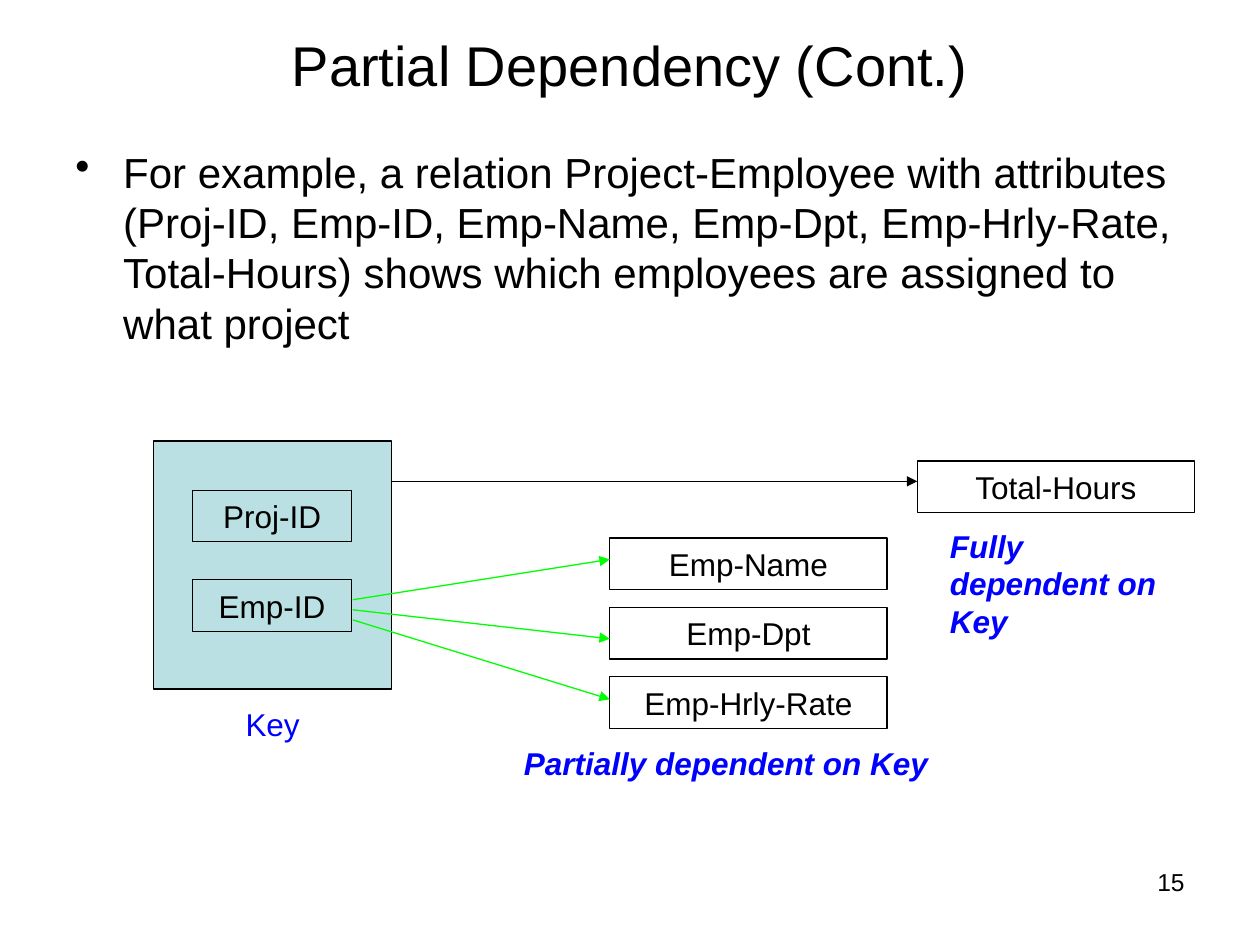
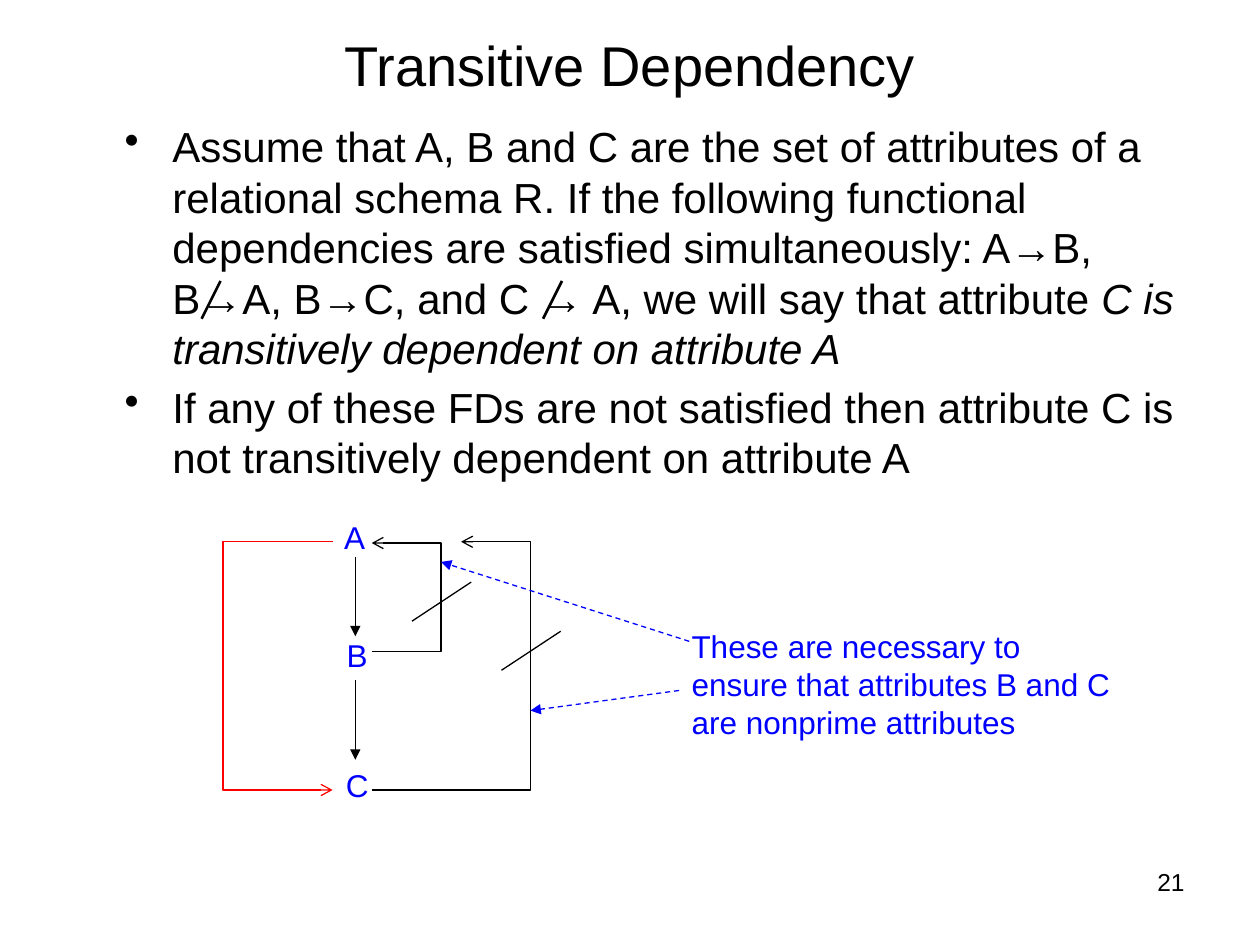
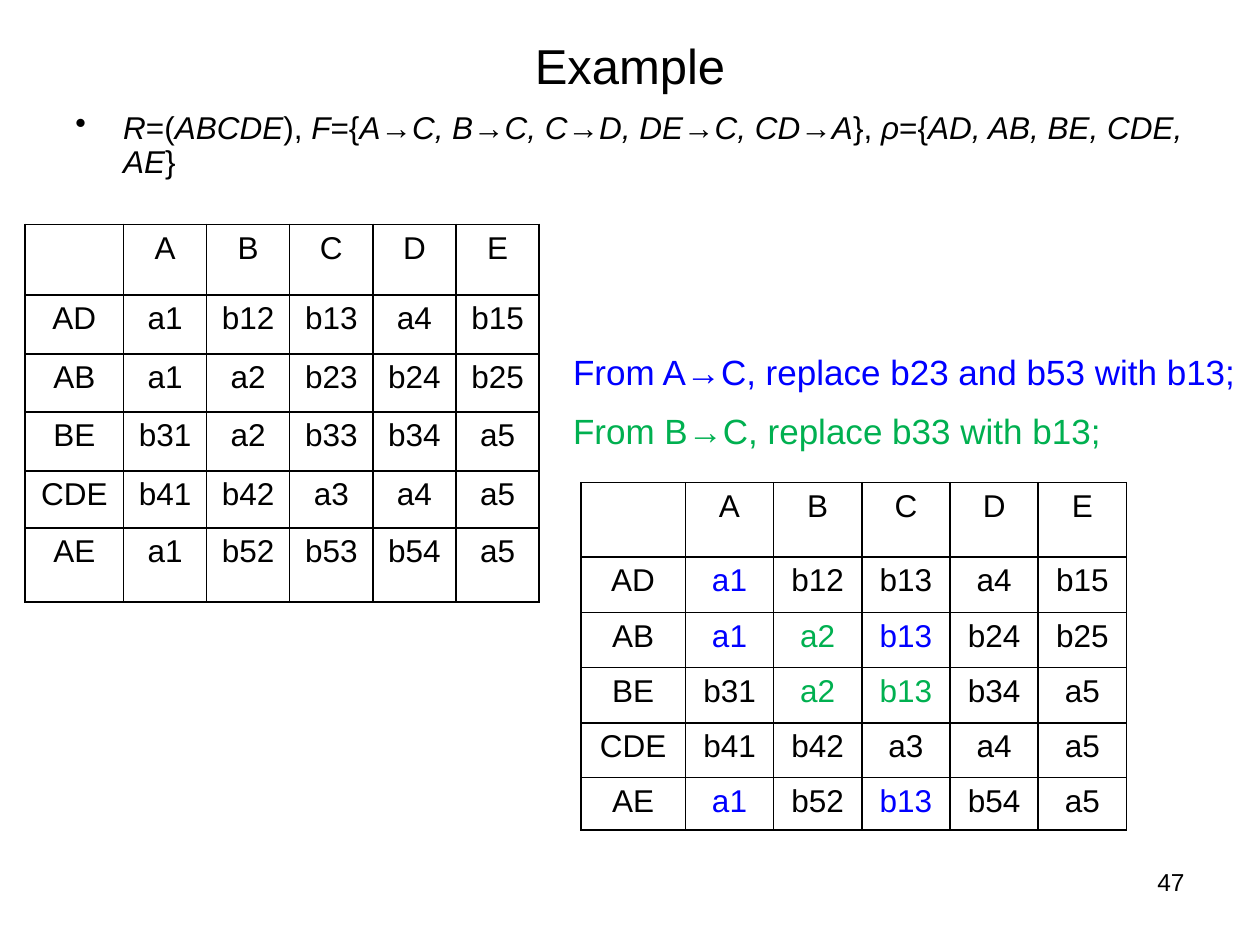
import pptx
import pptx.dml.color
import pptx.enum.dml
import pptx.enum.shapes
import pptx.enum.text
import pptx.oxml
import pptx.oxml.ns
import pptx.util

Inches, Pt = pptx.util.Inches, pptx.util.Pt
ALIGN = pptx.enum.text.PP_ALIGN
ANCHOR = pptx.enum.text.MSO_ANCHOR
SHAPE = pptx.enum.shapes.MSO_SHAPE
STRAIGHT = pptx.enum.shapes.MSO_CONNECTOR.STRAIGHT
qn = pptx.oxml.ns.qn

FONT = "Arial"
COLORS = {"black": "000000", "blue": "0000FF", "green": "00B050",
          "lime": "00FF00", "red": "FF0000", "key": "BBE0E3"}
EMPHASIS = {"bold": True, "italic": True}

# ---- Slide content -------------------------------------------------------
PARTIAL_TEXT = [[("For example, a relation Project-Employee with attributes "
                  "(Proj-ID, Emp-ID, Emp-Name, Emp-Dpt, Emp-Hrly-Rate, "
                  "Total-Hours) shows which employees are assigned to what project", {})]]
KEY_ATTRIBUTES = ["Proj-ID", "Emp-ID"]
PARTIAL_ATTRIBUTES = ["Emp-Name", "Emp-Dpt", "Emp-Hrly-Rate"]
PARTIAL_ARROW_ENDS = [4.44, 5.07, 5.55]
PARTIAL_LABELS = [
    ("Key", (1.85, 5.55, 0.79, 0.4), {}),
    ("Partially dependent on Key", (4.06, 5.86, 4.57, 0.4), EMPHASIS),
    ("Fully dependent on Key", (7.44, 4.13, 2.05, 1), EMPHASIS),
]

TRANSITIVE_TEXT = [
    [("Assume that A, B and C are the set of attributes of a relational schema R. "
      "If the following functional dependencies are satisfied simultaneously: "
      "A→B, B→A, B→C, and C → A, we will say that attribute ", {}),
     ("C is transitively dependent on attribute A", {"italic": True})],
    [("If any of these FDs are not satisfied then attribute C is not "
      "transitively dependent on attribute A", {})],
]
NODES = [("A", 2.54, 4.06), ("B", 2.56, 5), ("C", 2.56, 6.03)]
DEPENDENCY_PATHS = [
    ("red", [(2.64, 4.3), (1.77, 4.3), (1.77, 6.27), (2.64, 6.27)]),
    ("black", [(2.95, 5.17), (3.5, 5.17), (3.5, 4.31), (2.95, 4.31)]),
    ("black", [(2.95, 6.27), (4.21, 6.27), (4.21, 4.3), (3.66, 4.3)]),
]
DOWN_ARROWS = [4.42, 5.4]
PATH_SLASHES = [(3.27, 4.93), (3.98, 5.32)]
TEXT_SLASHES = [(1.6, 2.53), (4.31, 2.53)]
NOTE = "These are necessary to ensure that attributes B and C are nonprime attributes"
NOTE_ARROWS = [((5.47, 5.09), (3.5, 4.46)), ((5.39, 5.48), (4.21, 5.64))]

# Italic and upright parts alternate, italic first
RELATION_PARTS = ["R", "=(", "ABCDE", "), ", "F", "={",
                  "A→C, B→C, C→D, DE→C, CD→A", "}, ", "ρ", "={",
                  "AD, AB, BE, CDE, AE", "}"]
STEPS = [("From A→C, replace b23 and b53 with b13;", "blue"),
         ("From B→C, replace b33 with b13;", "green")]
BEFORE = [
    ["", "A", "B", "C", "D", "E"],
    ["AD", "a1", "b12", "b13", "a4", "b15"],
    ["AB", "a1", "a2", "b23", "b24", "b25"],
    ["BE", "b31", "a2", "b33", "b34", "a5"],
    ["CDE", "b41", "b42", "a3", "a4", "a5"],
    ["AE", "a1", "b52", "b53", "b54", "a5"],
]
REPLACED = {(2, 3): "b13", (3, 3): "b13", (5, 3): "b13"}
AFTER = [[REPLACED.get((i, j), value) for j, value in enumerate(row)]
         for i, row in enumerate(BEFORE)]
HIGHLIGHTS = {(1, 1): "blue", (2, 1): "blue", (5, 1): "blue",
              (2, 3): "blue", (5, 3): "blue",
              (2, 2): "green", (3, 2): "green", (3, 3): "green"}


# ---- Text helpers --------------------------------------------------------
def rgb(name):
    return pptx.dml.color.RGBColor.from_string(COLORS[name])


def add_run(p, text, size, color="black", bold=False, italic=False):
    r = p.add_run()
    r.text = text
    r.font.name, r.font.size = FONT, Pt(size)
    r.font.bold, r.font.italic = bold, italic
    r.font.color.rgb = rgb(color)


def add_text(slide, box):
    tf = slide.shapes.add_textbox(*map(Inches, box)).text_frame
    tf.word_wrap = True
    return tf


def add_label(slide, text, box, size=18, color="blue", align=ALIGN.LEFT, **style):
    p = add_text(slide, box).paragraphs[0]
    p.alignment = align
    add_run(p, text, size, color, **style)


def add_bullets(slide, box, paragraphs, size=24, spacing=None):
    tf = add_text(slide, box)
    for i, runs in enumerate(paragraphs):
        p = tf.add_paragraph() if i else tf.paragraphs[0]
        p.space_before = Pt(size * 0.2)
        if spacing:
            p.line_spacing = spacing
        pPr = p._p.get_or_add_pPr()
        pPr.set("marL", str(Inches(0.38)))
        pPr.set("indent", str(Inches(-0.38)))
        bullet = pptx.oxml.parse_xml(
            f'<a:buChar {pptx.oxml.ns.nsdecls("a")} char="•"/>')
        pPr.append(bullet)
        for text, style in runs:
            add_run(p, text, size, **style)


def add_slide(prs, title, number, size=32, title_box=(0.5, 0.16, 9, 0.69)):
    slide = prs.slides.add_slide(prs.slide_layouts[5])
    sp = slide.shapes.title
    sp.left, sp.top, sp.width, sp.height = map(Inches, title_box)
    tf = sp.text_frame
    tf.auto_size = pptx.enum.text.MSO_AUTO_SIZE.NONE
    tf.vertical_anchor = ANCHOR.MIDDLE
    tf.paragraphs[0].alignment = ALIGN.CENTER
    add_run(tf.paragraphs[0], title, size)
    add_label(slide, str(number), (7.17, 6.83, 2.33, 0.52), 14, "black", ALIGN.RIGHT)
    return slide


# ---- Shape helpers -------------------------------------------------------
def add_box(slide, box, text="", fill=None):
    sp = slide.shapes.add_shape(SHAPE.RECTANGLE, *map(Inches, box))
    sp.shadow.inherit = False
    if fill:
        sp.fill.solid()
        sp.fill.fore_color.rgb = rgb(fill)
    else:
        sp.fill.background()
    sp.line.color.rgb, sp.line.width = rgb("black"), Pt(0.75)
    if text:
        p = sp.text_frame.paragraphs[0]
        p.alignment = ALIGN.CENTER
        add_run(p, text, 18)


def style_line(sp, color, width=0.75, head=None, dashed=False):
    sp.line.color.rgb, sp.line.width = rgb(color), Pt(width)
    if dashed:
        sp.line.dash_style = pptx.enum.dml.MSO_LINE.DASH
    if head:
        ln = sp.element.spPr.find(qn("a:ln"))
        ln.append(ln.makeelement(qn("a:tailEnd"), {"type": head}))


def add_line(slide, start, end, color="black", **style):
    sp = slide.shapes.add_connector(STRAIGHT, *map(Inches, (*start, *end)))
    style_line(sp, color, **style)
    spPr = sp.element.spPr
    spPr.append(spPr.makeelement(qn("a:effectLst"), {}))


def add_bent_arrow(slide, points, color):
    start, *rest = [tuple(map(Inches, point)) for point in points]
    builder = slide.shapes.build_freeform(*start)
    builder.add_line_segments(rest, close=False)
    sp = builder.convert_to_shape()
    sp.shadow.inherit = False
    sp.fill.background()
    style_line(sp, color, head="arrow")


def add_borders(cell):
    tcPr = cell._tc.get_or_add_tcPr()
    for i, side in enumerate(("lnL", "lnR", "lnT", "lnB")):
        tcPr.insert(i, pptx.oxml.parse_xml(
            f'<a:{side} {pptx.oxml.ns.nsdecls("a")} w="{Pt(1)}"><a:solidFill>'
            f'<a:srgbClr val="{COLORS["black"]}"/></a:solidFill></a:{side}>'))


def add_grid(slide, left, top, widths, heights, values, highlights):
    frame = slide.shapes.add_table(
        len(heights), len(widths), Inches(left), Inches(top),
        Inches(sum(widths)), Inches(sum(heights)))
    table = frame.table
    table.first_row = table.horz_banding = False
    for column, width in zip(table.columns, widths):
        column.width = Inches(width)
    for i, height in enumerate(heights):
        table.rows[i].height = Inches(height)
        for j, value in enumerate(values[i]):
            cell = table.cell(i, j)
            cell.fill.background()
            add_borders(cell)
            p = cell.text_frame.paragraphs[0]
            p.alignment = ALIGN.CENTER
            if value:
                add_run(p, value, 18, highlights.get((i, j), "black"))


# ---- Slides --------------------------------------------------------------
def build_partial(prs):
    slide = add_slide(prs, "Partial Dependency (Cont.)", 15)
    add_bullets(slide, (0.5, 1.11, 9, 5.59), PARTIAL_TEXT)
    add_box(slide, (1.22, 3.5, 1.89, 1.97), fill="key")
    for i, name in enumerate(KEY_ATTRIBUTES):
        add_box(slide, (1.53, 3.89 + 0.71 * i, 1.26, 0.41), name)
    for i, (name, end) in enumerate(zip(PARTIAL_ATTRIBUTES, PARTIAL_ARROW_ENDS)):
        add_box(slide, (4.84, 4.27 + 0.55 * i, 2.2, 0.41), name)
        add_line(slide, (2.8, 4.76 + 0.08 * i), (4.84, end), "lime", head="triangle")
    add_box(slide, (7.28, 3.66, 2.2, 0.41), "Total-Hours")
    add_line(slide, (3.11, 3.82), (7.28, 3.82), head="triangle")
    for text, box, style in PARTIAL_LABELS:
        add_label(slide, text, box, **style)


def build_transitive(prs):
    slide = add_slide(prs, "Transitive Dependency", 21)
    add_bullets(slide, (0.89, 0.91, 8.68, 5.64), TRANSITIVE_TEXT)
    for name, x, y in NODES:
        add_label(slide, name, (x, y, 0.55, 0.4), align=ALIGN.CENTER)
    for y in DOWN_ARROWS:
        add_line(slide, (2.82, y), (2.82, y + 0.63), head="triangle")
    for color, points in DEPENDENCY_PATHS:
        add_bent_arrow(slide, points, color)
    for x, y in PATH_SLASHES:
        add_line(slide, (x, y), (x + 0.47, y - 0.31))
    add_label(slide, NOTE, (5.39, 4.93, 3.62, 1))
    for start, end in NOTE_ARROWS:
        add_line(slide, start, end, "blue", head="triangle", dashed=True)
    for x, y in TEXT_SLASHES:
        add_line(slide, (x, y), (x + 0.15, y - 0.3), width=1.5)


def build_example(prs):
    slide = add_slide(prs, "Example", 47, 28, (0.5, 0.21, 9, 0.61))
    runs = [(part, {"italic": i % 2 == 0}) for i, part in enumerate(RELATION_PARTS)]
    add_bullets(slide, (0.5, 0.84, 9, 0.79), [runs], 18, 0.9)
    add_grid(slide, 0.2, 1.78, [0.78] + [0.66] * 5,
             [0.56, 0.47, 0.46, 0.47, 0.45, 0.59], BEFORE, {})
    tf = add_text(slide, (4.45, 2.73, 5.47, 0.93))
    for i, (text, color) in enumerate(STEPS):
        p = tf.add_paragraph() if i else tf.paragraphs[0]
        p.space_before = Pt(10)
        add_run(p, text, 20, color)
    add_grid(slide, 4.61, 3.83, [0.83] + [0.7] * 5,
             [0.59, 0.44, 0.44, 0.44, 0.43, 0.42], AFTER, HIGHLIGHTS)


def main():
    prs = pptx.Presentation()
    prs.slide_width, prs.slide_height = Inches(10), Inches(7.5)
    build_partial(prs)
    build_transitive(prs)
    build_example(prs)
    prs.save("out.pptx")


if __name__ == "__main__":
    main()
